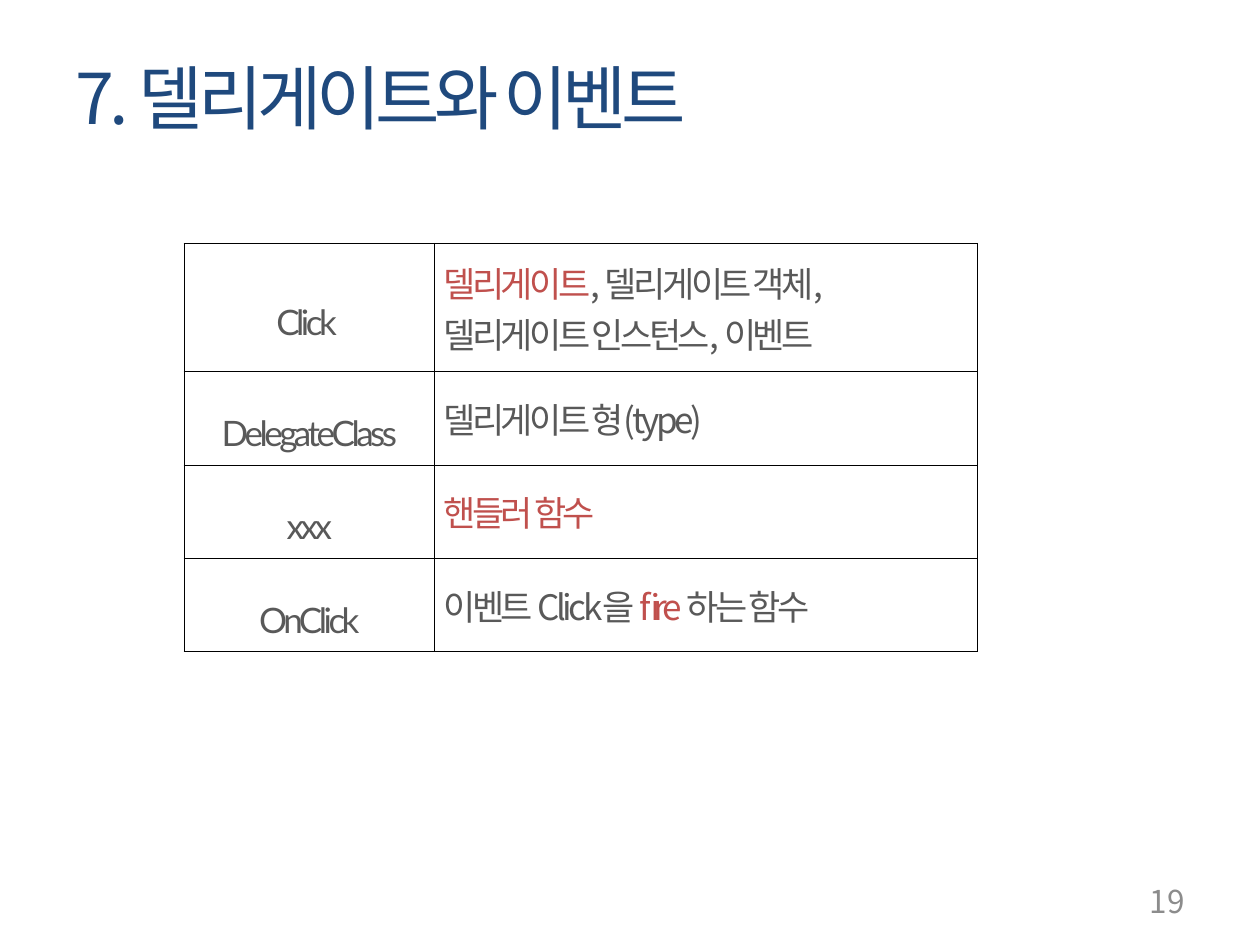
from lxml.etree import SubElement
from pptx import Presentation
from pptx.dml.color import RGBColor
from pptx.enum.text import MSO_ANCHOR as Anchor, PP_ALIGN as Align
from pptx.oxml.ns import qn
from pptx.util import Inches, Pt

KOREAN, LATIN = "Noto Sans CJK KR", "Lato"
NAVY, GRAY, RED, PALE = "1F497D", "595959", "C0504D", "8C8C8C"

COLS = [1.99, 4.31]
ROWS = [1.02, 0.74, 0.74, 0.74]
# Each row: a name, then lines made of (text, colour) parts.
TERMS = [
    ("Click ", [
        [("델리게이트", RED), (", 델리게이트 객체, ", GRAY)],
        [("델리게이트 인스턴스, 이벤트", GRAY)],
    ]),
    ("DelegateClass", [[("델리게이트 형(type)", GRAY)]]),
    ("xxx", [[("핸들러 함수", RED)]]),
    ("OnClick", [
        [("이벤트 Click을 ", GRAY), ("fire ", RED), ("하는 함수", GRAY)],
    ]),
]


def paint(hue):
    return RGBColor.from_string(hue)


def add_run(para, text, size, hue, face=KOREAN, gap=0):
    """Add a run; gap is the letter spacing in points."""
    run = para.add_run()
    run.text = text
    for name, value in {"size": Pt(size), "name": face}.items():
        setattr(run.font, name, value)
    run.font.color.rgb = paint(hue)
    props = run._r.get_or_add_rPr()
    SubElement(props, qn("a:ea")).set("typeface", face)
    if gap:
        props.set("spc", str(gap * 100))


def place(shape, left, top, width, height):
    box = {"left": left, "top": top, "width": width, "height": height}
    for name, value in box.items():
        setattr(shape, name, Inches(value))


def add_title(slide, text):
    title = slide.shapes.title
    place(title, 0.5, 0.3, 9, 0.93)
    title.text_frame.vertical_anchor = Anchor.MIDDLE
    para = title.text_frame.paragraphs[0]
    para.alignment = Align.LEFT
    add_run(para, text, 40, NAVY, gap=-3)


def add_number(slide, text):
    box = slide.shapes.add_textbox(0, 0, 0, 0)
    place(box, 7.17, 6.95, 2.33, 0.4)
    frame = box.text_frame
    frame.word_wrap = True
    frame.vertical_anchor = Anchor.MIDDLE
    para = frame.paragraphs[0]
    para.alignment = Align.RIGHT
    add_run(para, text, 18, PALE)


def style_cell(cell):
    """Clear the fill, set the margins and draw thin black borders."""
    props = cell._tc.get_or_add_tcPr()
    for side in "LRTB":
        line = SubElement(props, qn(f"a:ln{side}"), w=str(Pt(0.28)))
        fill = SubElement(line, qn("a:solidFill"))
        SubElement(fill, qn("a:srgbClr"), val="000000")
    cell.fill.background()
    form = {
        "margin_left": Inches(0.07), "margin_right": Inches(0.07),
        "margin_top": Inches(0.02), "margin_bottom": Inches(0.02),
        "vertical_anchor": Anchor.MIDDLE,
    }
    for name, value in form.items():
        setattr(cell, name, value)


def fill_cell(cell, lines, face, align, pitch=None):
    style_cell(cell)
    frame = cell.text_frame
    for i, parts in enumerate(lines):
        para = frame.add_paragraph() if i else frame.paragraphs[0]
        para.alignment = align
        para.line_spacing = pitch
        for text, hue in parts:
            add_run(para, text, 20, hue, face, gap=-2)


def add_terms(slide):
    size = [Inches(v) for v in (1.46, 1.93, sum(COLS), sum(ROWS))]
    table = slide.shapes.add_table(len(ROWS), len(COLS), *size).table
    table.first_row = table.horz_banding = False
    for col, width in zip(table.columns, COLS):
        col.width = Inches(width)
    for row, height, (name, lines) in zip(table.rows, ROWS, TERMS):
        row.height = Inches(height)
        left, right = row.cells
        fill_cell(left, [[(name, GRAY)]], LATIN, Align.CENTER, 1.7)
        fill_cell(right, lines, KOREAN, Align.JUSTIFY)


def main():
    deck = Presentation()
    deck.slide_width, deck.slide_height = Inches(10), Inches(7.5)
    slide = deck.slides.add_slide(deck.slide_layouts[5])
    add_title(slide, "7. 델리게이트와 이벤트")
    add_terms(slide)
    add_number(slide, "19")
    deck.save("out.pptx")


if __name__ == "__main__":
    main()
